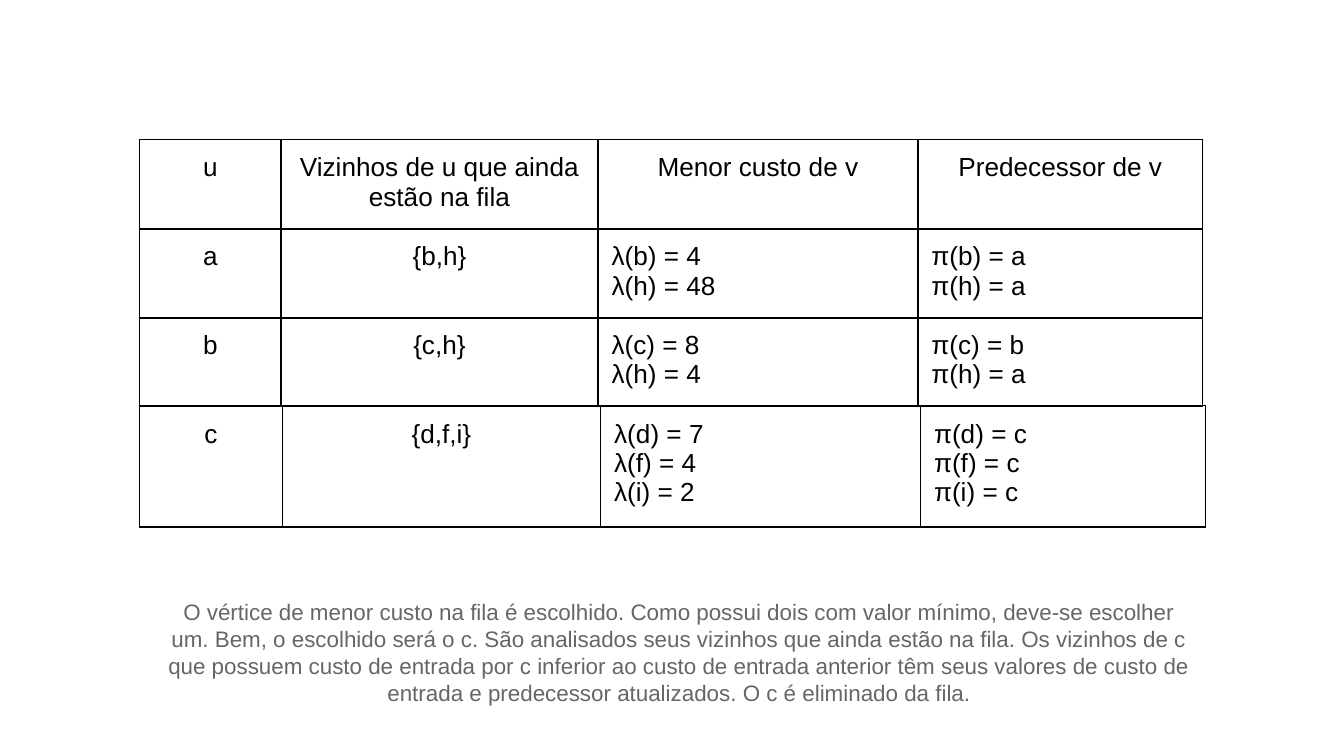
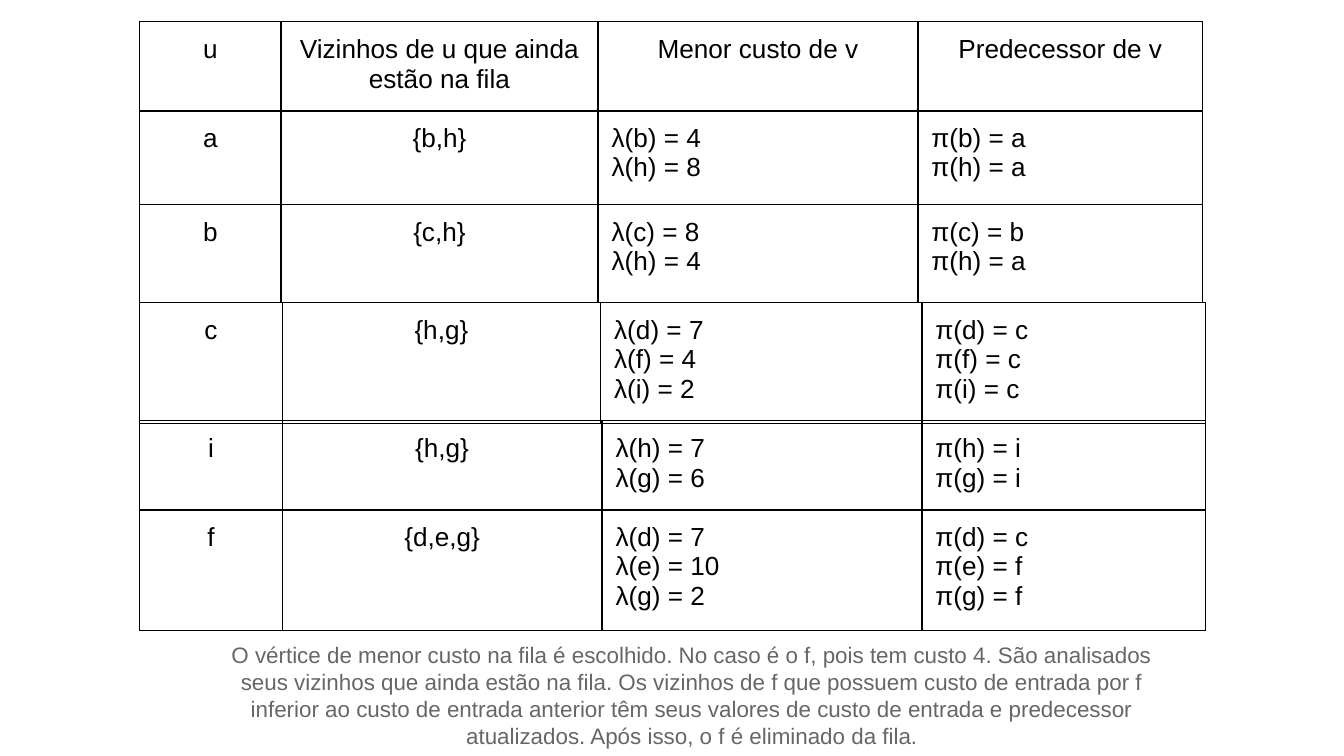
import pptx
import pptx.dml.color
import pptx.enum.text
import pptx.oxml.ns
import pptx.util
from lxml import etree

HEADER = ("u", "Vizinhos de u que ainda estão na fila", "Menor custo de v", "Predecessor de v")
ROW_B = ("b", "{c,h}", ("λ(c) = 8", "λ(h) = 4"), ("π(c) = b", "π(h) = a"))
COSTS_C = ("λ(d) = 7", "λ(f) = 4", "λ(i) = 2")
PREDECESSORS_C = ("π(d) = c", "π(f) = c", "π(i) = c")
COLUMNS = (1.05, 2.36, 2.38, 2.12)
LATE_COLUMNS = (1.06, 2.38, 2.38, 2.11)

SLIDES = [
    {
        "table_top": 1.04,
        "rows": [
            HEADER,
            ("a", "{b,h}", ("λ(b) = 4", "λ(h) = 48"), ("π(b) = a", "π(h) = a")),
            ROW_B,
            ("c", "{d,f,i}", COSTS_C, PREDECESSORS_C),
        ],
        "heights": {},
        "columns": {"c": (1.06, 2.37, 2.38, 2.12)},
        "caption": "O vértice de menor custo na fila é escolhido. Como possui dois com valor mínimo, "
                   "deve-se escolher um. Bem, o escolhido será o c. São analisados seus vizinhos que "
                   "ainda estão na fila. Os vizinhos de c que possuem custo de entrada por c inferior "
                   "ao custo de entrada anterior têm seus valores de custo de entrada e predecessor "
                   "atualizados. O c é eliminado da fila.",
        "caption_at": (1.15, 4.35, 7.81, 0.83),
    },
    {
        "table_top": 0.16,
        "rows": [
            HEADER,
            ("a", "{b,h}", ("λ(b) = 4", "λ(h) = 8"), ("π(b) = a", "π(h) = a")),
            ROW_B,
            ("c", "{h,g}", COSTS_C, PREDECESSORS_C),
            ("i", "{h,g}", ("λ(h) = 7", "λ(g) = 6"), ("π(h) = i", "π(g) = i")),
            ("f", "{d,e,g}", ("λ(d) = 7", "λ(e) = 10", "λ(g) = 2"),
             ("π(d) = c", "π(e) = f", "π(g) = f")),
        ],
        "heights": {"u": 0.6, "a": 0.7, "b": 0.73, "c": 0.66},
        "columns": {"c": (1.06, 2.37, 2.39, 2.11), "i": LATE_COLUMNS, "f": LATE_COLUMNS},
        "caption": "O vértice de menor custo na fila é escolhido. No caso é o f, pois tem custo 4. "
                   "São analisados seus vizinhos que ainda estão na fila. Os vizinhos de f que possuem "
                   "custo de entrada por f inferior ao custo de entrada anterior têm seus valores de "
                   "custo de entrada e predecessor atualizados. Após isso, o f é eliminado da fila.",
        "caption_at": (1.6, 4.67, 7.1, 0.83),
    },
]

TABLE_LEFT = 1.04
FRAME_SIDE = 3.28
MIN_HEIGHT = 0.42
LINE_HEIGHT = 0.22
PADDING = 0.1
BLACK, GREY = "000000", "666666"
MARGINS = ("margin_left", "margin_top", "margin_right", "margin_bottom")
CENTER = pptx.enum.text.PP_ALIGN.CENTER
LEFT = pptx.enum.text.PP_ALIGN.LEFT
inches = pptx.util.Inches


def color(value):
    return pptx.dml.color.RGBColor.from_string(value)


def write(frame, lines, size, ink, align):
    for index, line in enumerate(lines):
        para = frame.paragraphs[0] if index == 0 else frame.add_paragraph()
        para.alignment = align
        span = para.add_run()
        span.text = line
        formats = {"name": "Arial", "size": pptx.util.Pt(size)}
        for name, value in formats.items():
            setattr(span.font, name, value)
        span.font.color.rgb = color(ink)


def pad(target):
    for margin in MARGINS:
        setattr(target, margin, inches(PADDING))


def add_borders(cell):
    qn = pptx.oxml.ns.qn
    properties = cell._tc.get_or_add_tcPr()
    for side in ("lnL", "lnR", "lnT", "lnB"):
        line = etree.SubElement(properties, qn("a:" + side), w=str(pptx.util.Pt(0.75)))
        fill = etree.SubElement(line, qn("a:solidFill"))
        etree.SubElement(fill, qn("a:srgbClr"), val=BLACK)


def add_row(page, row, widths, top, height):
    holder = page.shapes.add_table(1, len(widths), inches(TABLE_LEFT), inches(top),
                                   inches(sum(widths)), inches(height))
    table = holder.table
    table.first_row = table.horz_banding = False
    for column, (width, content) in enumerate(zip(widths, row)):
        table.columns[column].width = inches(width)
        cell = table.cell(0, column)
        add_borders(cell)
        cell.fill.background()
        pad(cell)
        is_list = isinstance(content, tuple)
        write(cell.text_frame, content if is_list else (content,), 14, BLACK,
              LEFT if is_list else CENTER)
    holder.width = holder.height = inches(FRAME_SIDE)


def add_rows(page, slide):
    top = slide["table_top"]
    for row in slide["rows"]:
        height = slide["heights"].get(row[0], MIN_HEIGHT)
        add_row(page, row, slide["columns"].get(row[0], COLUMNS), top, height)
        lines = len(row[2]) if isinstance(row[2], tuple) else 2
        top += max(height, (lines + 1) * LINE_HEIGHT)


def add_caption(page, slide):
    box = page.shapes.add_textbox(*map(inches, slide["caption_at"]))
    frame = box.text_frame
    frame.word_wrap = True
    pad(frame)
    write(frame, [slide["caption"]], 12, GREY, CENTER)


deck = pptx.Presentation()
deck.slide_width = inches(10)
deck.slide_height = deck.slide_width * 9 // 16
for slide in SLIDES:
    page = deck.slides.add_slide(deck.slide_layouts[6])
    add_caption(page, slide)
    add_rows(page, slide)
deck.save("out.pptx")
